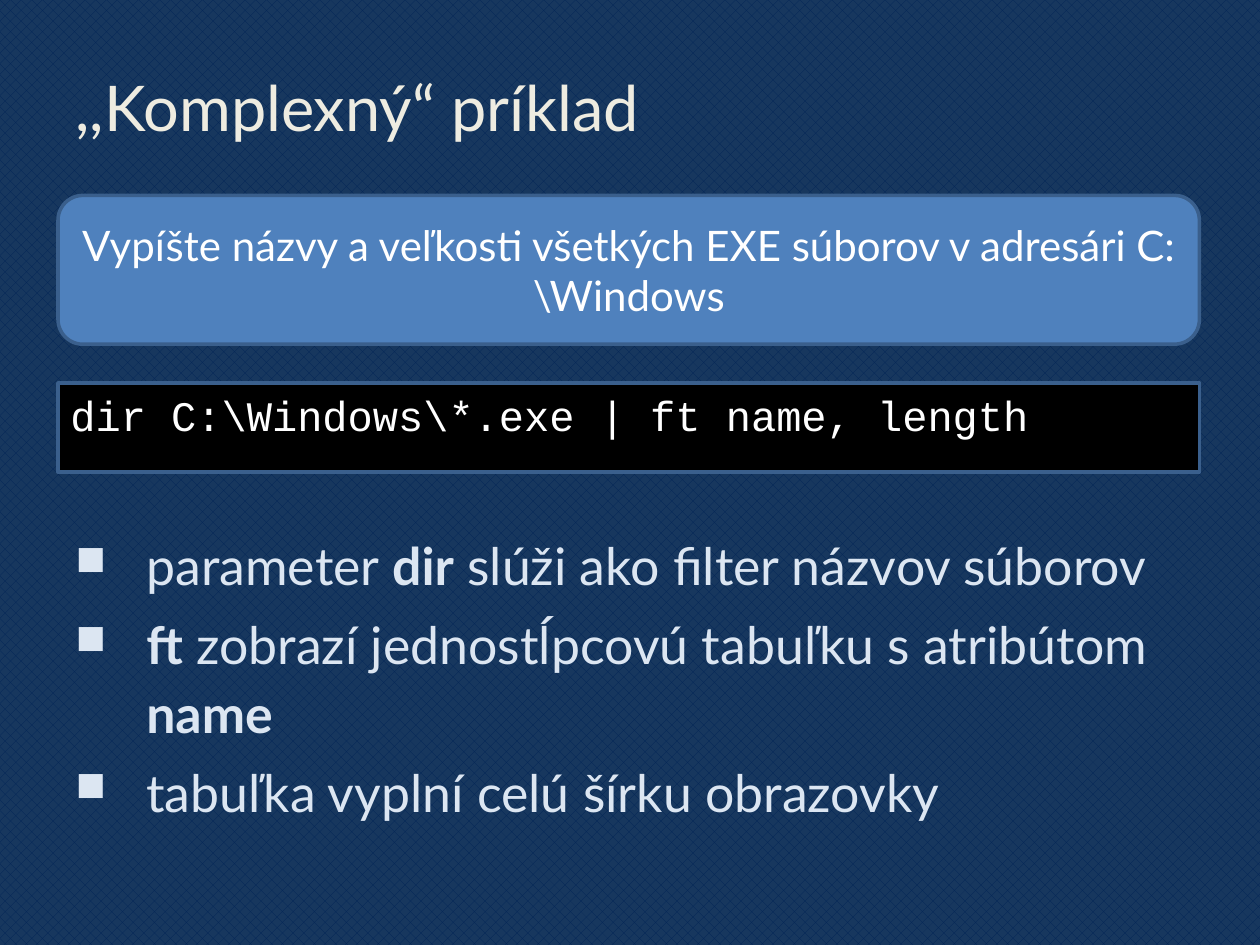
from dataclasses import dataclass

from lxml import etree
from pptx import Presentation
from pptx.dml.color import RGBColor
from pptx.enum.dml import MSO_PATTERN
from pptx.enum.shapes import MSO_SHAPE
from pptx.enum.text import MSO_ANCHOR, PP_ALIGN
from pptx.oxml.ns import qn
from pptx.util import Cm, Pt

ROUNDED, RECT = MSO_SHAPE.ROUNDED_RECTANGLE, MSO_SHAPE.RECTANGLE
TOP, MIDDLE = MSO_ANCHOR.TOP, MSO_ANCHOR.MIDDLE
LEFT, CENTER = PP_ALIGN.LEFT, PP_ALIGN.CENTER
DOTS = MSO_PATTERN.from_xml("pct40")


@dataclass(frozen=True)
class Theme:
    back: str = "17375E"
    dots: str = "012456"
    title: str = "EEECE1"
    body: str = "DCE6F2"
    task: str = "4F81BD"
    console: str = "000000"
    border: str = "3A5F8C"
    light: str = "FFFFFF"
    font: str = "Lato"
    mono: str = "Courier New"
    title_size: float = 36
    body_size: float = 29.6
    panel_size: float = 24


@dataclass(frozen=True)
class Panel:
    shape: MSO_SHAPE
    top: float
    height: float
    fill: str
    font: str
    anchor: MSO_ANCHOR
    align: PP_ALIGN
    text: str


T = Theme()
MARGIN, WIDTH = 1.27, 22.86
PANEL_LEFT, PANEL_WIDTH = 1.17, 23.01

PANELS = [
    Panel(ROUNDED, 3.94, 3.0, T.task, T.font, MIDDLE, CENTER,
          "Vypíšte názvy a veľkosti všetkých EXE súborov v adresári C:\\Windows"),
    Panel(RECT, 7.72, 1.8, T.console, T.mono, TOP, LEFT,
          "dir C:\\Windows\\*.exe | ft name, length"),
]

# Each bullet is a list of (text, bold) runs.
BULLETS = [
    [("parameter ", False), ("dir", True), (" slúži ako filter názvov súborov", False)],
    [("ft", True), (" zobrazí jednostĺpcovú tabuľku s atribútom ", False), ("name", True)],
    [("tabuľka vyplní celú šírku obrazovky", False)],
]


def rgb(value: str) -> RGBColor:
    return RGBColor.from_string(value)


def add_run(p, text: str, font: str, size: float, color: str, bold: bool = False) -> None:
    r = p.add_run()
    r.text = text
    r.font.name, r.font.size, r.font.bold = font, Pt(size), bold
    r.font.color.rgb = rgb(color)


def paint_background(s) -> None:
    fill = s.background.fill
    fill.patterned()
    fill.pattern = DOTS
    fill.fore_color.rgb, fill.back_color.rgb = rgb(T.dots), rgb(T.back)


def add_title(s, text: str) -> None:
    sp = s.shapes.title
    sp.left, sp.top, sp.width, sp.height = Cm(MARGIN), Cm(0.76), Cm(WIDTH), Cm(2.77)
    sp.text_frame.vertical_anchor = MIDDLE
    p = sp.text_frame.paragraphs[0]
    p.alignment = LEFT
    add_run(p, text, T.font, T.title_size, T.title)


def add_panel(s, panel: Panel) -> None:
    sp = s.shapes.add_shape(panel.shape, Cm(PANEL_LEFT), Cm(panel.top),
                            Cm(PANEL_WIDTH), Cm(panel.height))
    sp.shadow.inherit = False
    sp.fill.solid()
    sp.fill.fore_color.rgb = rgb(panel.fill)
    sp.line.color.rgb = rgb(T.border)
    sp.line.width = Pt(2)
    tf = sp.text_frame
    tf.word_wrap = True
    tf.vertical_anchor = panel.anchor
    p = tf.paragraphs[0]
    p.alignment = panel.align
    add_run(p, panel.text, panel.font, T.panel_size, T.light)


def set_bullet(p) -> None:
    """Give the paragraph a hanging square bullet."""
    pPr = p._p.get_or_add_pPr()
    indent = Cm(1.43)
    pPr.set("marL", str(indent))
    pPr.set("indent", str(-indent))
    color = etree.SubElement(pPr, qn("a:buClr"))
    etree.SubElement(color, qn("a:srgbClr"), val=T.body)
    etree.SubElement(pPr, qn("a:buSzPct"), val="80000")
    etree.SubElement(pPr, qn("a:buChar"), char="■")


def add_bullets(s) -> None:
    tf = s.shapes.add_textbox(Cm(MARGIN), Cm(10.52), Cm(WIDTH), Cm(6.5)).text_frame
    tf.word_wrap = True
    for i, runs in enumerate(BULLETS):
        p = tf.add_paragraph() if i else tf.paragraphs[0]
        set_bullet(p)
        p.line_spacing = 1.1
        p.space_before = Pt(6 if i else 0)
        for text, bold in runs:
            add_run(p, text, T.font, T.body_size, T.body, bold)


def main() -> None:
    prs = Presentation()
    prs.slide_width, prs.slide_height = Cm(25.4), Cm(19.05)
    s = prs.slides.add_slide(prs.slide_layouts[5])
    paint_background(s)
    add_title(s, ",,Komplexný“ príklad")
    add_bullets(s)
    for panel in PANELS:
        add_panel(s, panel)
    prs.save("out.pptx")


if __name__ == "__main__":
    main()
